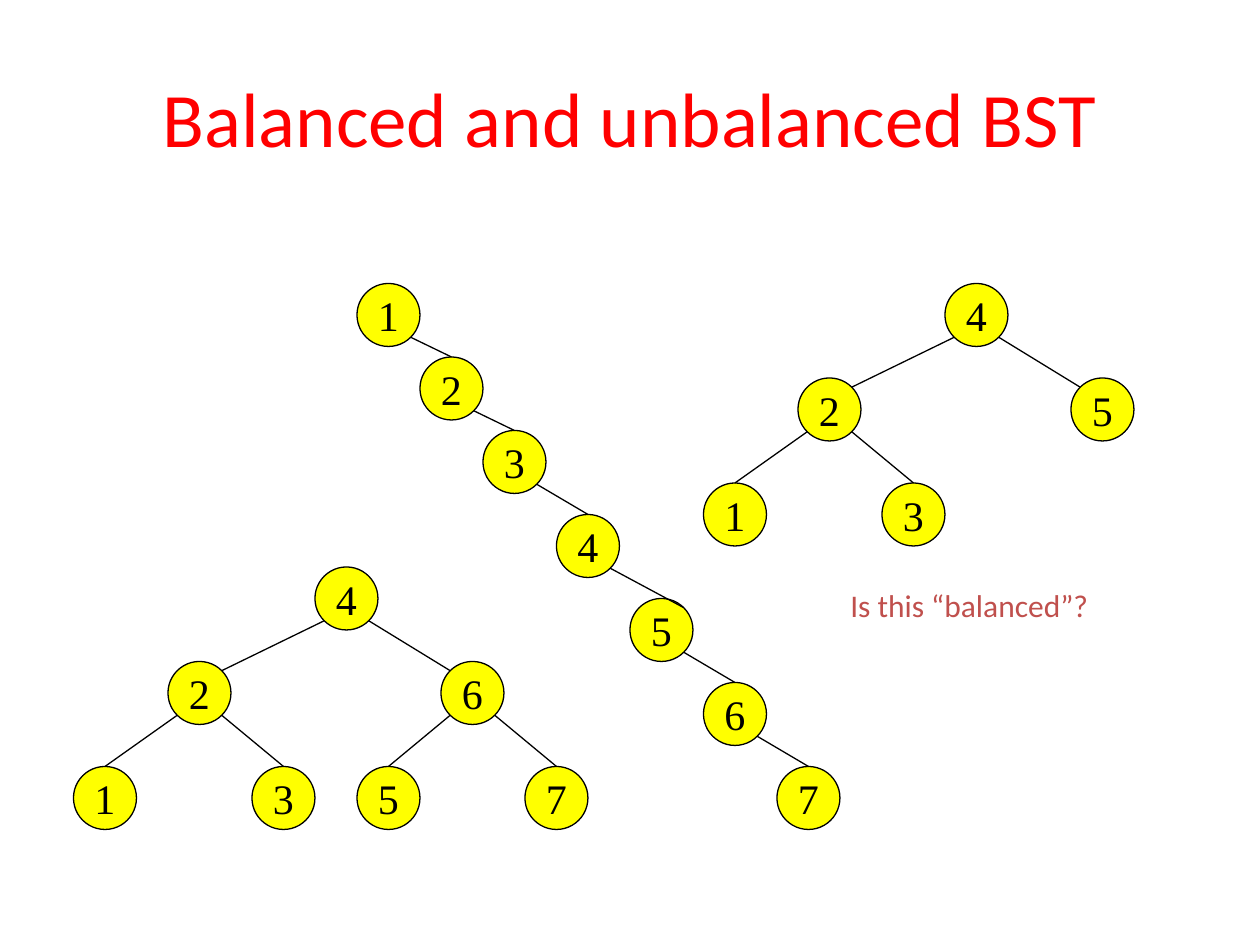
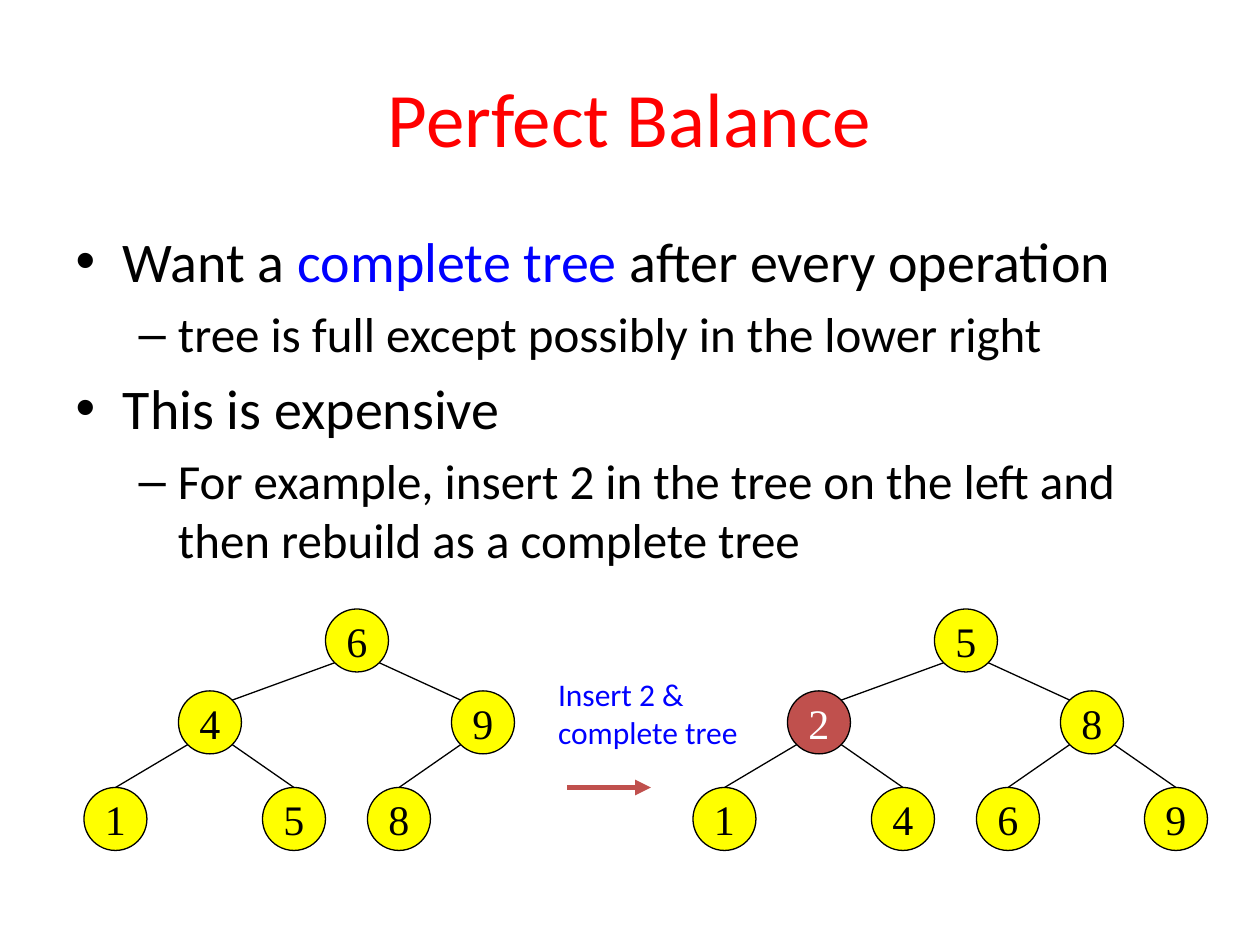
import math
from dataclasses import dataclass
from itertools import pairwise

import pptx
import pptx.dml.color
import pptx.enum.shapes
import pptx.enum.text
import pptx.oxml
import pptx.oxml.ns
import pptx.util

Pt = pptx.util.Pt
Color = pptx.dml.color.RGBColor
Align = pptx.enum.text.PP_ALIGN
Anchor = pptx.enum.text.MSO_ANCHOR


@dataclass(frozen=True)
class Theme:
    text_font: str = "Calibri"
    node_font: str = "Times New Roman"
    title_size: int = 44
    body_sizes: tuple = (32, 28)
    node_size: int = 24
    note_size: int = 18
    title: Color = Color(255, 0, 0)
    ink: Color = Color(0, 0, 0)
    paper: Color = Color(255, 255, 255)
    node: Color = Color(255, 255, 0)
    accent: Color = Color(0xC0, 0x50, 0x4D)
    highlight: Color = Color(0, 0, 255)
    line_width: float = 0.75
    arrow_width: float = 3


THEME = Theme()
DIAMETER = 36
CORNER = DIAMETER / 2 * math.sqrt(0.5)
TREE_LEFTS = (138, 54, 210, 0, 102, 162, 258)
CHAIN_STEPS = ((36, 42), (36, 42), (42, 48), (42, 48), (42, 48), (42, 48))
TITLE_BOX = (36, 21.6, 648, 90)
BODY_BOX = (36, 126, 648, 356.4)


def place(shape, box):
    shape.left, shape.top, shape.width, shape.height = map(Pt, box)


def style_font(font, size, color, name=THEME.text_font):
    font.name = name
    font.size = Pt(size)
    font.color.rgb = color


def add_title(slide, text):
    title = slide.shapes.title
    place(title, TITLE_BOX)
    title.text_frame.text = text
    title.text_frame.vertical_anchor = Anchor.MIDDLE
    paragraph = title.text_frame.paragraphs[0]
    paragraph.alignment = Align.CENTER
    style_font(paragraph.font, THEME.title_size, THEME.title)


def add_body(slide, box, items):
    body = slide.placeholders[1]
    place(body, box)
    frame = body.text_frame
    for index, (level, parts) in enumerate(items):
        paragraph = frame.add_paragraph() if index else frame.paragraphs[0]
        paragraph.level = level
        style_font(paragraph.font, THEME.body_sizes[level], THEME.ink)
        for text, color in parts:
            run = paragraph.add_run()
            run.text = text
            if color != THEME.ink:
                run.font.color.rgb = color


def add_note(slide, box, text, color):
    frame = slide.shapes.add_textbox(*map(Pt, box)).text_frame
    frame.word_wrap = False
    frame.auto_size = pptx.enum.text.MSO_AUTO_SIZE.SHAPE_TO_FIT_TEXT
    frame.text = text
    for paragraph in frame.paragraphs:
        style_font(paragraph.font, THEME.note_size, color)


def add_line(slide, start, end, color=THEME.ink, width=THEME.line_width):
    line = slide.shapes.add_connector(
        pptx.enum.shapes.MSO_CONNECTOR.STRAIGHT, *map(Pt, (*start, *end)))
    line.line.color.rgb = color
    line.line.width = Pt(width)
    pptx.oxml.ns.qn("a:effectLst")
    line._element.spPr.append(
        line._element.makeelement(pptx.oxml.ns.qn("a:effectLst"), {}))
    return line


def add_arrow(slide, start, end):
    arrow = add_line(slide, start, end, THEME.accent, THEME.arrow_width)
    outline = arrow.line._get_or_add_ln()
    outline.append(outline.makeelement(
        pptx.oxml.ns.qn("a:tailEnd"), {"type": "triangle"}))


def add_node(slide, left, top, key, marked=False):
    node = slide.shapes.add_shape(
        pptx.enum.shapes.MSO_SHAPE.OVAL, *map(Pt, (left, top, DIAMETER, DIAMETER)))
    node.shadow.inherit = False
    node.fill.solid()
    node.fill.fore_color.rgb = THEME.accent if marked else THEME.node
    node.line.color.rgb = THEME.ink
    node.line.width = Pt(THEME.line_width)
    frame = node.text_frame
    frame.word_wrap = False
    frame.vertical_anchor = Anchor.MIDDLE
    frame.text = str(key)
    paragraph = frame.paragraphs[0]
    paragraph.alignment = Align.CENTER
    style_font(paragraph.font, THEME.node_size,
               THEME.paper if marked else THEME.ink, THEME.node_font)
    return node


def corner(node, horizontal, vertical):
    return (node.left.pt + DIAMETER / 2 + horizontal * CORNER,
            node.top.pt + DIAMETER / 2 + vertical * CORNER)


def link(slide, parent, child, side, to_corner=False):
    line = add_line(slide, corner(parent, side, 1), corner(child, -side, -1))
    if not to_corner:
        line.end_connect(child, 0)


def add_tree(slide, left, top, level_tops, keys, marked_key=None):
    nodes = []
    for index, key in enumerate(keys):
        level = (index + 1).bit_length() - 1
        nodes.append(add_node(slide, left + TREE_LEFTS[index],
                              top + level_tops[level], key, key == marked_key))
    for index in range(1, len(nodes)):
        side = -1 if index % 2 else 1
        link(slide, nodes[(index - 1) // 2], nodes[index], side, to_corner=index < 3)


def add_chain(slide, left, top, steps, corner_key):
    nodes = [add_node(slide, left, top, 1)]
    for key, (across, down) in enumerate(steps, start=2):
        left, top = left + across, top + down
        nodes.append(add_node(slide, left, top, key))
    for key, (parent, child) in enumerate(pairwise(nodes), start=2):
        if key == corner_key:
            add_line(slide, corner(parent, 1, 1), corner(child, 1, -1))
        else:
            link(slide, parent, child, 1)


def build_comparison(presentation):
    slide = presentation.slides.add_slide(presentation.slide_layouts[5])
    add_title(slide, "Balanced and unbalanced BST")
    level_tops = (0, 54, 114)
    add_tree(slide, 402, 162, level_tops, (4, 2, 5, 1, 3))
    add_chain(slide, 204, 162, CHAIN_STEPS, corner_key=5)
    add_tree(slide, 42, 324, level_tops, (4, 2, 6, 1, 3, 5, 7))
    add_note(slide, (478.8, 331.2, 177.8, 31), "Is this “balanced”?", THEME.accent)


def build_perfect_balance(presentation):
    slide = presentation.slides.add_slide(presentation.slide_layouts[1])
    add_title(slide, "Perfect Balance")
    add_body(slide, BODY_BOX, (
        (0, (("Want a ", THEME.ink), ("complete tree", THEME.highlight),
             (" after every operation", THEME.ink))),
        (1, (("tree is full except possibly in the lower right", THEME.ink),)),
        (0, (("This is expensive", THEME.ink),)),
        (1, (("For example, insert 2 in the tree on the left and "
              "then rebuild as a complete tree", THEME.ink),)),
    ))
    add_note(slide, (311.8, 382.3, 135.4, 55.4),
             "Insert 2 &\ncomplete tree", THEME.highlight)
    level_tops = (0, 46.8, 102)
    add_tree(slide, 48, 348, level_tops, (6, 4, 9, 1, 5, 8))
    add_tree(slide, 396, 348, level_tops, (5, 2, 8, 1, 4, 6, 9), marked_key=2)
    add_arrow(slide, (324, 450), (372, 450))


def main():
    presentation = pptx.Presentation()
    presentation.slide_width = Pt(720)
    presentation.slide_height = Pt(540)
    build_comparison(presentation)
    build_perfect_balance(presentation)
    presentation.save("out.pptx")


if __name__ == "__main__":
    main()
